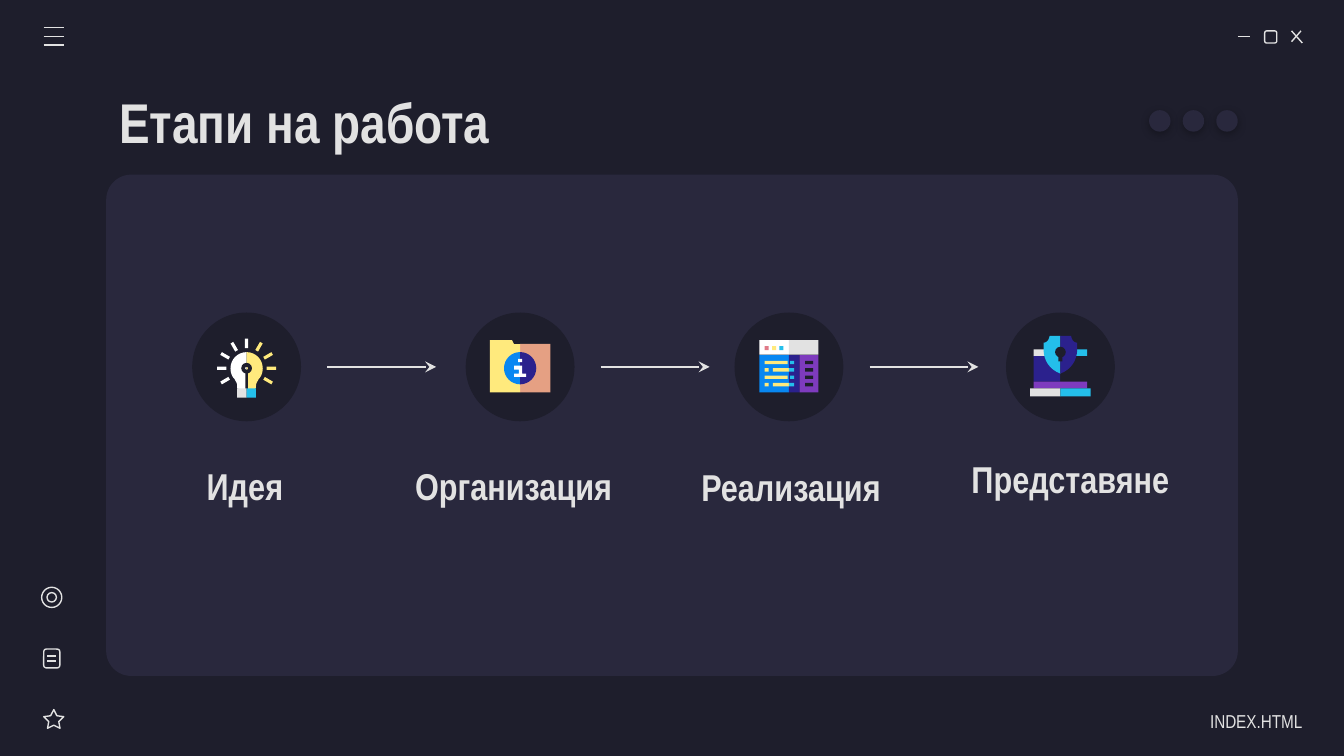
"""Build the slide with the four stages of work."""
from math import cos, radians, sin

from lxml import etree
from pptx import Presentation
from pptx.dml.color import RGBColor
from pptx.enum.shapes import MSO_CONNECTOR, MSO_SHAPE
from pptx.enum.text import MSO_ANCHOR, PP_ALIGN
from pptx.oxml.ns import qn
from pptx.util import Inches, Pt

RECTANGLE, ROUNDED = MSO_SHAPE.RECTANGLE, MSO_SHAPE.ROUNDED_RECTANGLE
ELLIPSE, DONUT, STAR = MSO_SHAPE.OVAL, MSO_SHAPE.DONUT, MSO_SHAPE.STAR_5_POINT
STRAIGHT, MIDDLE = MSO_CONNECTOR.STRAIGHT, MSO_ANCHOR.MIDDLE
LEFT, RIGHT = PP_ALIGN.LEFT, PP_ALIGN.RIGHT

THEME = {
    "font": "Arial Narrow", "title": 30, "label": 20, "footer": 10, "stroke": 0.75,
    "navy": "1E1E2C", "panel": "29283D", "light": "E2E2E2", "white": "FFFFFF",
    "cyan": "24BFEB", "indigo": "2B218D", "purple": "7E3BBE", "blue": "0887F2",
    "yellow": "FFEA7D", "peach": "E5A083", "pink": "E07A88", "black": "000000",
}

presentation = Presentation()
presentation.slide_width = Inches(10)
presentation.slide_height = presentation.slide_width * 9 // 16
COLUMN = presentation.slide_width / 100
ROW = presentation.slide_height / 56.25
slide = presentation.slides.add_slide(presentation.slide_layouts[6])
slide.background.fill.solid()
slide.background.fill.fore_color.rgb = RGBColor.from_string(THEME["navy"])


def draw_shape(kind, left, top, width, height, fill=None, rotation=0):
    """Add a filled shape, or a thin outlined one when no fill is given."""
    shape = slide.shapes.add_shape(
        kind, int(left * COLUMN), int(top * ROW), int(width * COLUMN), int(height * ROW))
    shape.shadow.inherit = False
    shape.rotation = rotation
    if fill:
        shape.fill.solid()
        shape.fill.fore_color.rgb = RGBColor.from_string(THEME[fill])
        shape.line.fill.background()
    else:
        shape.fill.background()
        shape.line.color.rgb = RGBColor.from_string(THEME["light"])
        shape.line.width = Pt(THEME["stroke"])
    return shape


def draw_outline(center, points, fill, side=1):
    """Add a closed outline around a stage center, mirrored when side is -1."""
    vertices = []
    for point in points:
        if len(point) == 2:
            vertices.append(point)
            continue
        start, controls = vertices[-1], (point[:2], point[2:4], point[4:])
        for step in range(1, 9):
            t = step / 8
            weights = (3 * t * (1 - t) ** 2, 3 * t * t * (1 - t), t ** 3)
            vertices.append([
                (1 - t) ** 3 * start[axis] + sum(w * c[axis] for w, c in zip(weights, controls))
                for axis in (0, 1)])
    grid = [(int((center + side * x) * COLUMN), int((MIDLINE + y) * ROW)) for x, y in vertices]
    builder = slide.shapes.build_freeform(*grid[0])
    builder.add_line_segments(grid[1:], close=True)
    shape = builder.convert_to_shape()
    shape.shadow.inherit = False
    shape.fill.solid()
    shape.fill.fore_color.rgb = RGBColor.from_string(THEME[fill])
    shape.line.fill.background()


MIDLINE = 27.3
STAGES = IDEA, FOLDER, BROWSER, LAPTOP = 18.35, 38.7, 58.7, 78.9

draw_shape(ROUNDED, 7.9, 13, 84.2, 37.3, "panel").adjustments[0] = 0.05
for center in STAGES:
    draw_shape(ELLIPSE, center - 4.05, MIDLINE - 4.05, 8.1, 8.1, "navy")

draw_shape(ROUNDED, 94.1, 2.3, 0.9, 0.9)
draw_shape(STAR, 3.25, 52.8, 1.5, 1.4).adjustments[0] = 0.25
draw_shape(ROUNDED, 3.25, 48.3, 1.2, 1.4)
draw_shape(ELLIPSE, 3.1, 43.7, 1.5, 1.5)
draw_shape(ELLIPSE, 3.5, 44.1, 0.7, 0.7)

lines = [(92.1, 2.7, 93, 2.7), (96.1, 2.3, 96.9, 3.2), (96.8, 2.3, 96.1, 3.1)]
lines += [(3.25, row, 4.75, row) for row in (2.05, 2.7, 3.35)]
lines += [(3.5, row, 4.2, row) for row in (48.8, 49.2)]
arrows = [(center + 6, MIDLINE, center + 14.1, MIDLINE) for center in STAGES[:-1]]
for ends in lines + arrows:
    x1, y1, x2, y2 = ends
    connector = slide.shapes.add_connector(
        STRAIGHT, int(x1 * COLUMN), int(y1 * ROW), int(x2 * COLUMN), int(y2 * ROW))
    connector.line.color.rgb = RGBColor.from_string(THEME["light"])
    connector.line.width = Pt(THEME["stroke"])
    properties = connector._element.spPr
    if ends in arrows:
        etree.SubElement(properties.find(qn("a:ln")), qn("a:tailEnd"), type="stealth")
    etree.SubElement(properties, qn("a:effectLst"))

texts = [
    ("Етапи на работа", 7.9, 5.9, 78.8, 6.3, "title"),
    ("Идея", 14.4, 33.6, 9.7, 5, "label"),
    ("Организация", 29.9, 33.6, 17.4, 5, "label"),
    ("Реализация", 51.2, 33.7, 20.2, 5, "label"),
    ("Представяне", 71.3, 33.1, 20.2, 5, "label"),
    ("INDEX.HTML", 85.2, 52, 11.7, 3, "footer"),
]
for words, left, top, width, height, role in texts:
    box = slide.shapes.add_textbox(
        int(left * COLUMN), int(top * ROW), int(width * COLUMN), int(height * ROW))
    frame = box.text_frame
    frame.word_wrap = True
    frame.vertical_anchor = MIDDLE
    frame.margin_left = frame.margin_top = frame.margin_bottom = Inches(0.1)
    frame.margin_right = 0 if role == "footer" else Inches(0.1)
    paragraph = frame.paragraphs[0]
    paragraph.alignment = RIGHT if role == "footer" else LEFT
    paragraph.line_spacing = 1.15 if role == "footer" else 1.0
    run = paragraph.add_run()
    run.text = words
    run.font.name = THEME["font"]
    run.font.size = Pt(THEME[role])
    run.font.bold = role != "footer"
    run.font.color.rgb = RGBColor.from_string(THEME["light"])

blocks = [
    (LAPTOP, -2, -1.3, 2, 0.5, "light"), (LAPTOP, 0, -1.3, 2, 0.5, "cyan"),
    (LAPTOP, -2, -0.8, 2, 1.9, "indigo"), (LAPTOP, 0, -0.8, 2, 1.9, "navy"),
    (LAPTOP, -2, 1.1, 4, 0.5, "purple"),
    (LAPTOP, -2.25, 1.6, 2.25, 0.6, "light"), (LAPTOP, 0, 1.6, 2.25, 0.6, "cyan"),
    (BROWSER, -2.2, -0.9, 2.2, 2.8, "blue"), (BROWSER, 0, -0.9, 0.8, 2.8, "indigo"),
    (BROWSER, 0.8, -0.9, 1.4, 2.8, "purple"),
    (BROWSER, -2.2, -2, 2.2, 1.1, "white"), (BROWSER, 0, -2, 2.2, 1.1, "light"),
    (FOLDER, 0, -1.7, 2.25, 3.6, "peach"),
]
for index, color in enumerate(("pink", "yellow", "cyan")):
    blocks.append((BROWSER, -1.8 + 0.55 * index, -1.55, 0.3, 0.3, color))
for index in range(4):
    stripes = [(-1.8, 1.7, "yellow"), (0.1, 0.3, "cyan"), (1.2, 0.6, "navy")]
    if index % 2:
        stripes = [(-1.8, 0.3, "yellow"), (-1.2, 1.2, "yellow"), (0, 0.4, "cyan"),
                   (1.2, 0.6, "navy")]
    for left, width, color in stripes:
        blocks.append((BROWSER, left, -0.45 + 0.55 * index, width, 0.25, color))
for center, left, top, width, height, color in blocks:
    draw_shape(RECTANGLE, center + left, MIDLINE + top, width, height, color)

folder_tab = [(-2.25, -2), (-2.25, 1.9), (0, 1.9), (0, -1.7), (-0.45, -1.7), (-0.6, -2)]
draw_outline(FOLDER, folder_tab, "yellow")
halves = [
    (LAPTOP, "cyan", "indigo", [
        (0, -2.3), (0, 0.5), (0.8, 0.2, 1.25, -0.5, 1.25, -1.3), (1.25, -1.8),
        (1, -1.8, 0.85, -2, 0.8, -2.3)]),
    (FOLDER, "blue", "indigo", [
        (0, -1.1), (0.66, -1.1, 1.2, -0.56, 1.2, 0.1), (1.2, 0.76, 0.66, 1.3, 0, 1.3)]),
    (IDEA, "white", "yellow", [
        (0, -1.1), (0.66, -1.1, 1.2, -0.56, 1.2, 0.1), (1.2, 0.4, 1.1, 0.7, 0.9, 0.9),
        (0.8, 1.1, 0.7, 1.2, 0.7, 1.4), (0.7, 1.6), (0, 1.8)]),
]
for center, left_color, right_color, points in halves:
    draw_outline(center, points, left_color, -1)
    draw_outline(center, points, right_color)
letter_body = [(-0.45, -0.1), (-0.45, 0.2), (-0.1, 0.2), (-0.1, 0.5), (-0.45, 0.5),
               (-0.45, 0.75), (0.45, 0.75), (0.45, 0.5), (0.15, 0.5), (0.15, -0.1)]
draw_outline(FOLDER, letter_body, "white")

details = [
    (FOLDER, RECTANGLE, -0.15, -0.6, 0.3, 0.25, "white"),
    (LAPTOP, ELLIPSE, -0.4, -1.5, 0.8, 0.8, "navy"),
    (LAPTOP, RECTANGLE, -0.15, -0.9, 0.3, 0.5, "navy"),
    (IDEA, DONUT, -0.4, -0.3, 0.8, 0.8, "navy"),
    (IDEA, RECTANGLE, -0.1, 0.4, 0.2, 1.4, "navy"),
    (IDEA, RECTANGLE, -0.7, 1.6, 0.7, 0.7, "light"),
    (IDEA, RECTANGLE, 0, 1.6, 0.7, 0.7, "cyan"),
]
for center, kind, left, top, width, height, color in details:
    detail = draw_shape(kind, center + left, MIDLINE + top, width, height, color)
    if kind == DONUT:
        detail.adjustments[0] = 0.36

for angle in range(-30, 211, 30):
    x = IDEA + 1.85 * cos(radians(angle))
    y = MIDLINE + 0.1 - 1.85 * sin(radians(angle))
    color = "yellow" if angle < 90 else "white"
    draw_shape(RECTANGLE, x - 0.35, y - 0.12, 0.7, 0.24, color, -angle)

for index in range(3):
    dot = draw_shape(ELLIPSE, 90.5 - 2.5 * index, 8.2, 1.6, 1.6, "panel")
    effects = dot._element.spPr.find(qn("a:effectLst"))
    shadow = etree.SubElement(effects, qn("a:outerShdw"), blurRad=str(Pt(4.5)),
                              dist=str(Pt(1.5)), dir="5400000", rotWithShape="0")
    shade = etree.SubElement(shadow, qn("a:srgbClr"), val=THEME["black"])
    etree.SubElement(shade, qn("a:alpha"), val="30000")

presentation.save("out.pptx")
